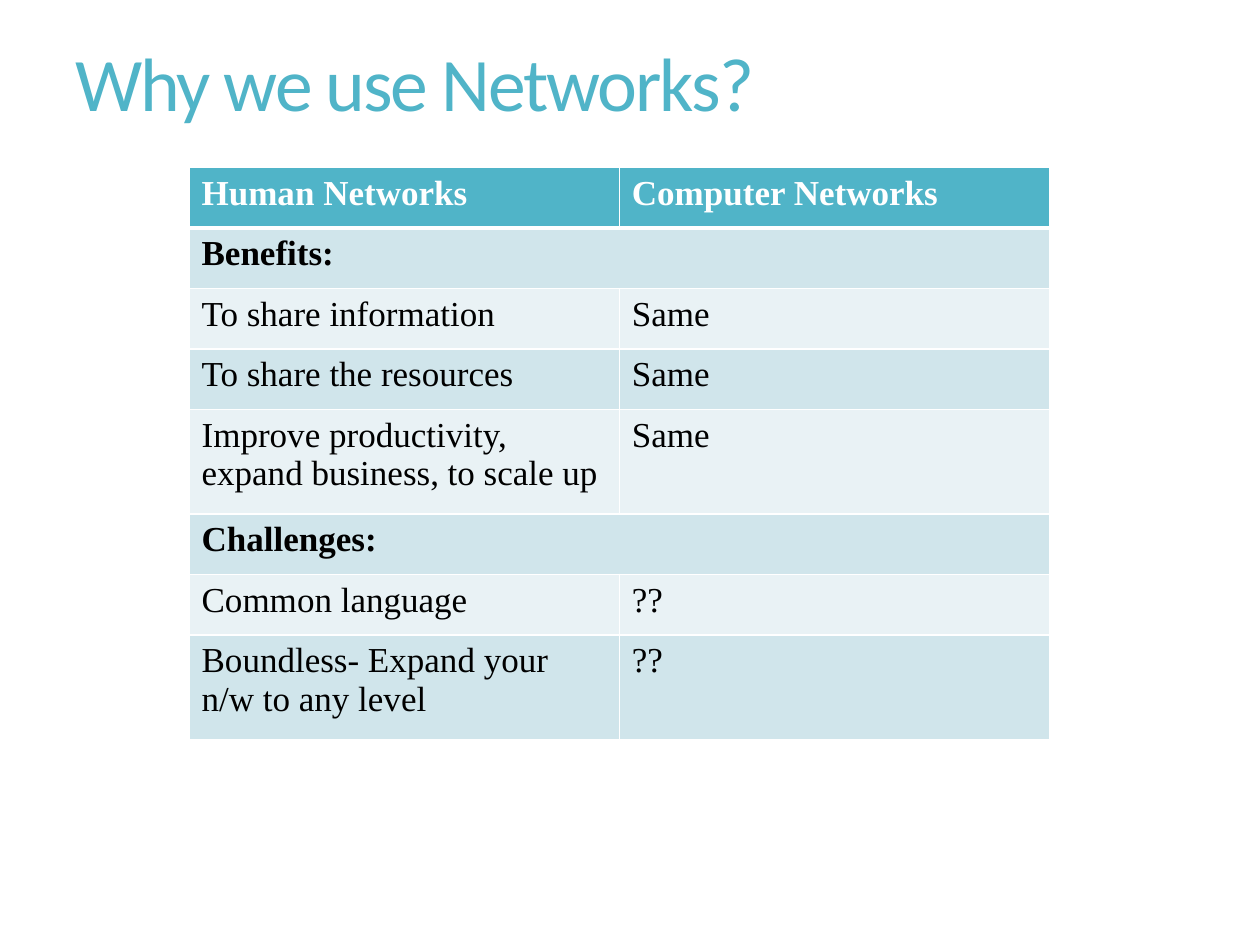
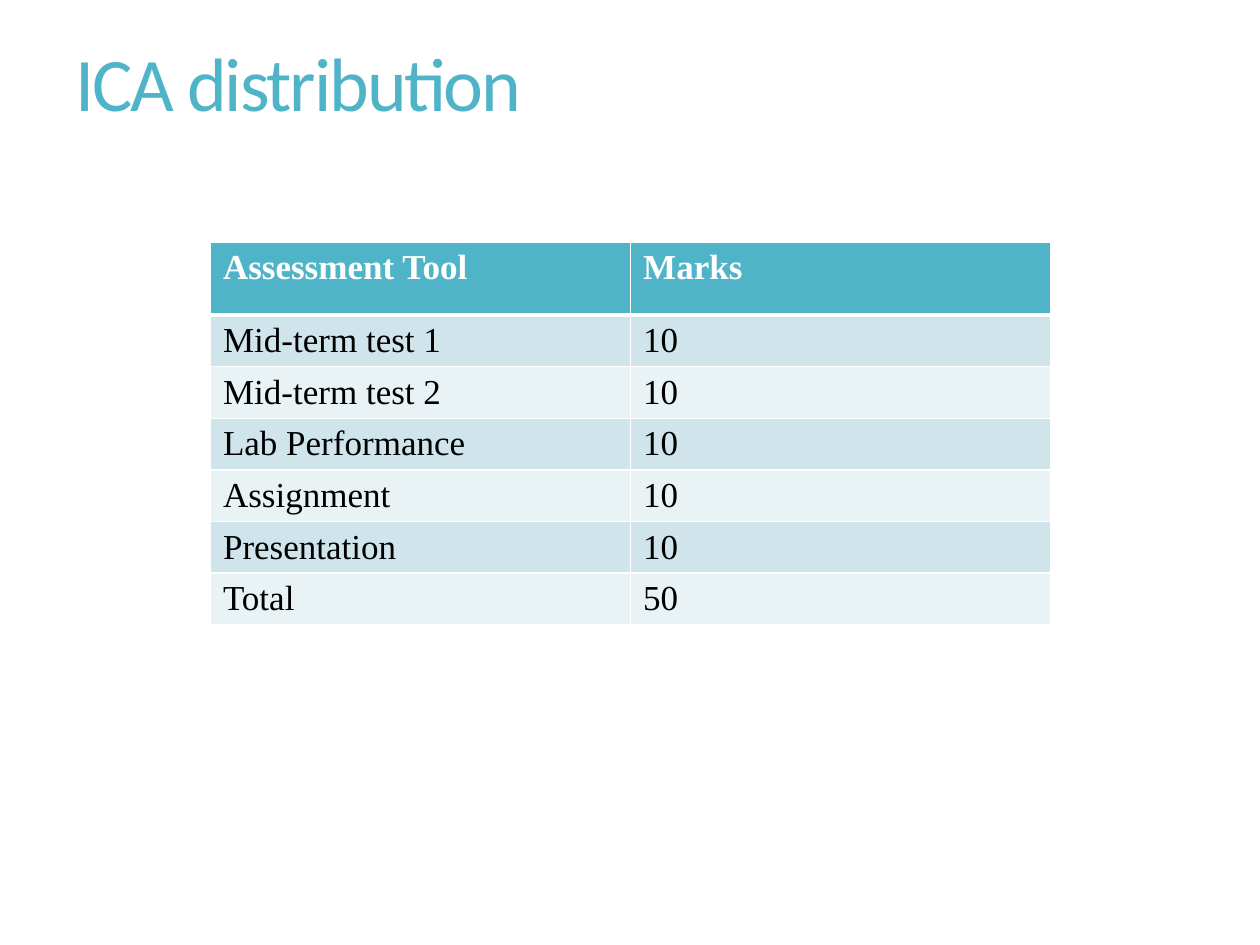
"""Build two slides, each with a title and a two-column banded table."""
import lxml.etree
import pptx
import pptx.dml.color
import pptx.enum.text
import pptx.oxml.ns
import pptx.util

Inches = pptx.util.Inches
RGBColor = pptx.dml.color.RGBColor

TEAL = RGBColor(0x50, 0xB4, 0xC8)
DARK_BAND = RGBColor(0xD0, 0xE5, 0xEB)
LIGHT_BAND = RGBColor(0xE9, 0xF2, 0xF5)
WHITE = RGBColor(0xFF, 0xFF, 0xFF)
BLACK = RGBColor(0x00, 0x00, 0x00)

TITLE_FORMAT = {"name": "Calibri", "size": pptx.util.Pt(43.2)}
CELL_FORMAT = {"name": "Times New Roman", "size": pptx.util.Pt(20)}

SLIDES = [
    {
        "title": "Why we use Networks?",
        "left": 1.5, "top": 1.33, "width": 6.83,
        "row_heights": [0.48, 0.48, 0.48, 0.48, 0.83, 0.48, 0.48, 0.83],
        "rows": [
            ["Human Networks", "Computer Networks"],
            ["Benefits:"],
            ["To share information", "Same"],
            ["To share the resources", "Same"],
            ["Improve productivity, expand business, to scale up", "Same"],
            ["Challenges:"],
            ["Common language", "??"],
            ["Boundless- Expand your n/w to any level", "??"],
        ],
    },
    {
        "title": "ICA distribution",
        "left": 1.67, "top": 1.92, "width": 6.67,
        "row_heights": [0.58] + [0.41] * 6,
        "rows": [
            ["Assessment Tool", "Marks"],
            ["Mid-term test 1", "10"],
            ["Mid-term test 2", "10"],
            ["Lab Performance", "10"],
            ["Assignment", "10"],
            ["Presentation", "10"],
            ["Total", "50"],
        ],
    },
]


def write_text(text_frame, text, font_format, color, bold=False):
    paragraph = text_frame.paragraphs[0]
    run = paragraph.add_run()
    run.text = text
    for attribute, value in font_format.items():
        setattr(run.font, attribute, value)
    run.font.bold = bold
    run.font.color.rgb = color
    return paragraph, run


def add_bottom_border(cell, color, width):
    qn = pptx.oxml.ns.qn
    border = lxml.etree.Element(qn("a:lnB"), w=str(width))
    fill = lxml.etree.SubElement(border, qn("a:solidFill"))
    lxml.etree.SubElement(fill, qn("a:srgbClr"), val=str(color))
    cell._tc.get_or_add_tcPr().insert(0, border)


presentation = pptx.Presentation()
presentation.slide_width = Inches(10)
presentation.slide_height = Inches(7.5)

for content in SLIDES:
    slide = presentation.slides.add_slide(presentation.slide_layouts[6])

    title = slide.shapes.add_textbox(Inches(0.5), Inches(0.3), Inches(9), Inches(0.78))
    title.text_frame.word_wrap = True
    title.text_frame.vertical_anchor = pptx.enum.text.MSO_ANCHOR.MIDDLE
    paragraph, run = write_text(title.text_frame, content["title"], TITLE_FORMAT, TEAL)
    paragraph.line_spacing = 0.9
    run.font._element.set("spc", "-120")

    rows = content["rows"]
    table = slide.shapes.add_table(
        len(rows), 2, Inches(content["left"]), Inches(content["top"]),
        Inches(content["width"]), Inches(sum(content["row_heights"]))).table

    for row_index, texts in enumerate(rows):
        table.rows[row_index].height = Inches(content["row_heights"][row_index])
        is_header = row_index == 0
        is_section = len(texts) == 1
        if is_section:
            table.cell(row_index, 0).merge(table.cell(row_index, 1))
        band = DARK_BAND if row_index % 2 else LIGHT_BAND
        for column_index, text in enumerate(texts):
            cell = table.cell(row_index, column_index)
            cell.margin_bottom = Inches(0.02)
            cell.fill.solid()
            cell.fill.fore_color.rgb = TEAL if is_header else band
            if is_header:
                add_bottom_border(cell, WHITE, pptx.util.Pt(3))
            write_text(cell.text_frame, text, CELL_FORMAT,
                       WHITE if is_header else BLACK, is_header or is_section)

presentation.save("out.pptx")
